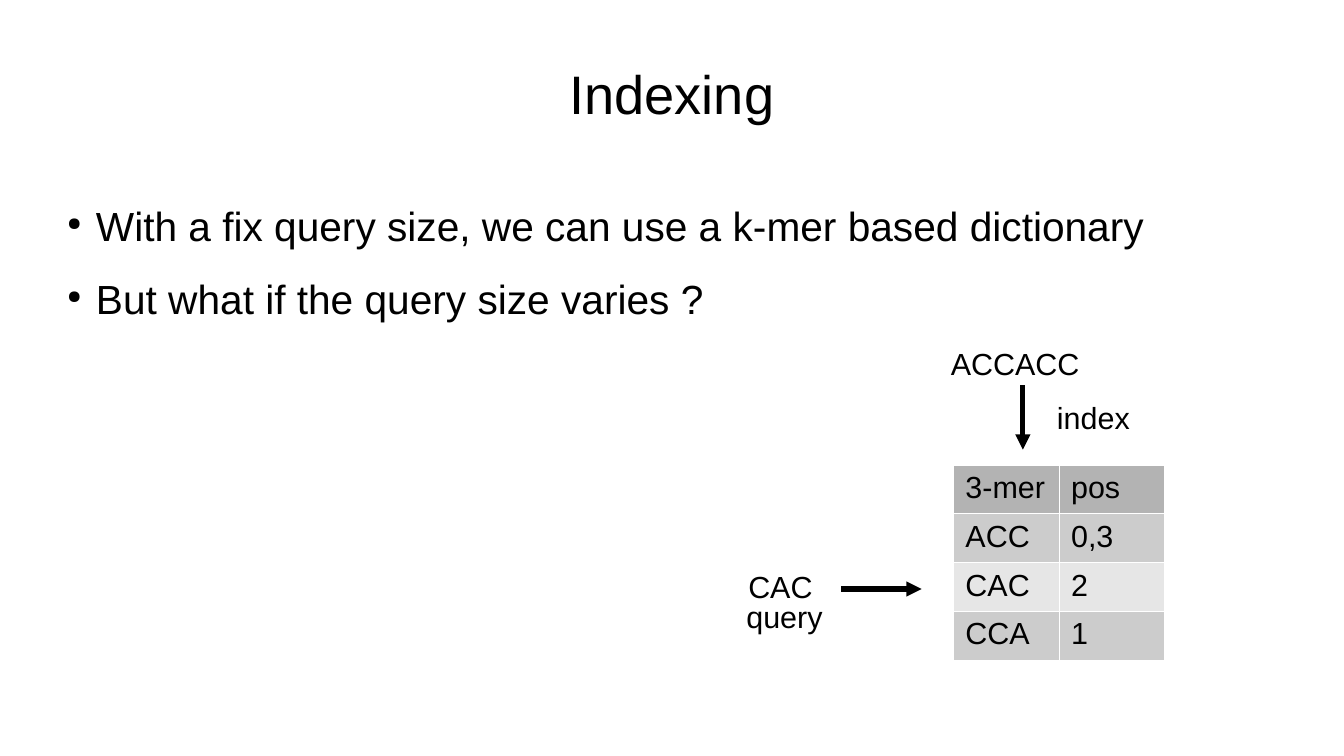
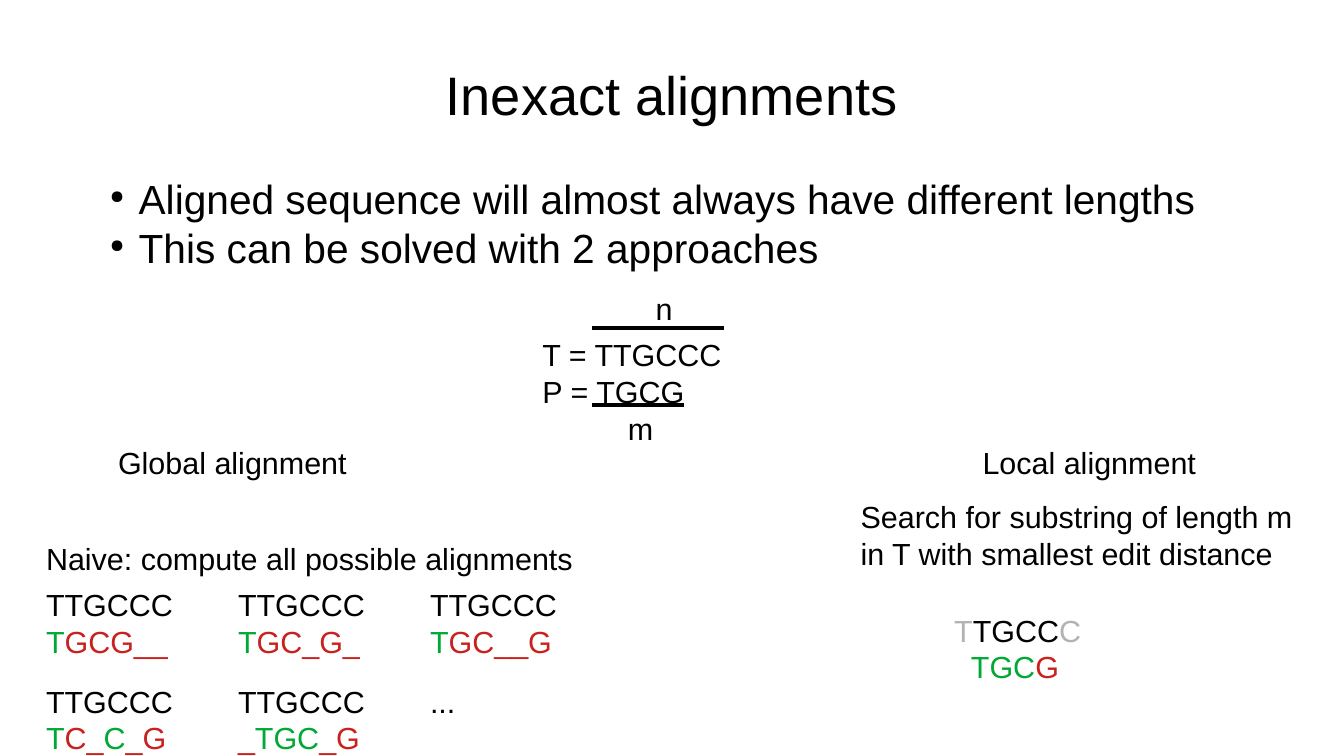
from dataclasses import dataclass
from itertools import groupby

from lxml.etree import SubElement
from pptx import Presentation
from pptx.dml.color import RGBColor
from pptx.enum.shapes import MSO_CONNECTOR as Connector
from pptx.enum.text import MSO_ANCHOR as Anchor, PP_ALIGN as Align
from pptx.oxml.ns import qn
from pptx.util import Cm, Pt


@dataclass(frozen=True)
class Theme:
    font: str = "Arial"
    ink: str = "000000"
    match: str = "00A933"
    mismatch: str = "C9211E"
    unused: str = "B2B2B2"
    border: str = "FFFFFF"
    header: str = "B3B3B3"
    odd_row: str = "CCCCCC"
    even_row: str = "E6E6E6"
    title_size: int = 32
    body_size: int = 24
    label_size: int = 18
    arrow_width: float = 3
    rule_width: float = 2.25


THEME = Theme()
MARK_COLORS = {"+": THEME.match, "-": THEME.mismatch, ".": THEME.unused, "=": THEME.ink}
LINE_HEIGHT = 0.97


def style_font(paragraph, size):
    paragraph.font.name = THEME.font
    paragraph.font.size = Pt(size)
    paragraph.font.color.rgb = RGBColor.from_string(THEME.ink)


def add_frame(slide, box, inset=True):
    frame = slide.shapes.add_textbox(*map(Cm, box)).text_frame
    frame.word_wrap = True
    if not inset:
        frame.margin_left = frame.margin_right = 0
        frame.margin_top = frame.margin_bottom = 0
    return frame


def add_paragraphs(frame, lines):
    for index, line in enumerate(lines):
        paragraph = frame.add_paragraph() if index else frame.paragraphs[0]
        paragraph.text = line
        yield paragraph


def add_title(slide, box, text):
    frame = add_frame(slide, box, inset=False)
    frame.vertical_anchor = Anchor.MIDDLE
    for paragraph in add_paragraphs(frame, [text]):
        paragraph.alignment = Align.CENTER
        style_font(paragraph, THEME.title_size)


def add_bullets(slide, box, lines, spacing=1.0):
    frame = add_frame(slide, box, inset=False)
    for paragraph in add_paragraphs(frame, lines):
        paragraph.line_spacing = spacing
        properties = paragraph._p.get_or_add_pPr()
        properties.set("marL", str(Cm(0.6)))
        properties.set("indent", str(-Cm(0.6)))
        color = SubElement(properties, qn("a:buClr"))
        SubElement(color, qn("a:srgbClr"), val=THEME.ink)
        SubElement(properties, qn("a:buSzPct"), val="45000")
        SubElement(properties, qn("a:buChar"), char="●")
        style_font(paragraph, THEME.body_size)


def add_label(slide, left, top, width, *lines):
    box = left, top, width, LINE_HEIGHT * len(lines)
    for paragraph in add_paragraphs(add_frame(slide, box), lines):
        style_font(paragraph, THEME.label_size)


def add_alignment(slide, left, top, width, rows, indent=0):
    frame = add_frame(slide, (left, top, width, 1.68))
    paragraphs = add_paragraphs(frame, [""] * len(rows))
    for index, (paragraph, (letters, marks)) in enumerate(zip(paragraphs, rows)):
        if index and indent:
            paragraph._p.get_or_add_pPr().set("marL", str(Cm(indent)))
        style_font(paragraph, THEME.label_size)
        for mark, pairs in groupby(zip(marks, letters), key=lambda pair: pair[0]):
            run = paragraph.add_run()
            run.text = "".join(letter for _, letter in pairs)
            run.font.color.rgb = RGBColor.from_string(MARK_COLORS[mark])


def add_line(slide, start, end, width, arrow=False):
    connector = slide.shapes.add_connector(Connector.STRAIGHT, *map(Cm, start + end))
    connector.line.width = Pt(width)
    connector.line.color.rgb = RGBColor.from_string(THEME.ink)
    if arrow:
        SubElement(connector.line._get_or_add_ln(), qn("a:tailEnd"), type="triangle")
    SubElement(connector._element.spPr, qn("a:effectLst"))


def add_borders(cell):
    properties = cell._tc.get_or_add_tcPr()
    for index, side in enumerate(("a:lnL", "a:lnR", "a:lnT", "a:lnB")):
        border = SubElement(properties, qn(side), w=str(Pt(0.06)))
        fill = SubElement(border, qn("a:solidFill"))
        SubElement(fill, qn("a:srgbClr"), val=THEME.border)
        properties.insert(index, border)


def add_kmer_table(slide, left, top, rows):
    column_width = 2.2
    size = column_width * len(rows[0]), LINE_HEIGHT * len(rows)
    table = slide.shapes.add_table(
        len(rows), len(rows[0]), *map(Cm, (left, top) + size)
    ).table
    table.first_row = table.horz_banding = False
    for row_index, values in enumerate(rows):
        band = THEME.odd_row if row_index % 2 else THEME.even_row
        color = band if row_index else THEME.header
        for column_index, value in enumerate(values):
            cell = table.cell(row_index, column_index)
            cell.fill.solid()
            cell.fill.fore_color.rgb = RGBColor.from_string(color)
            add_borders(cell)
            for paragraph in add_paragraphs(cell.text_frame, [value]):
                style_font(paragraph, THEME.label_size)


def add_index_diagram(slide, left, top):
    add_label(slide, left + 4.26, top, 5.16, "ACCACC")
    arrow_x = left + 6.01
    add_line(slide, (arrow_x, top + 0.97), (arrow_x, top + 2.31), THEME.arrow_width, True)
    add_label(slide, left + 6.47, top + 1.12, 2.3, "index")
    rows = [("3-mer", "pos"), ("ACC", "0,3"), ("CAC", "2"), ("CCA", "1")]
    add_kmer_table(slide, left + 4.56, top + 2.62, rows)
    add_label(slide, left + 0.04, top + 4.65, 2.3, "CAC")
    add_label(slide, left, top + 5.28, 2.3, "query")
    arrow_y = top + 5.21
    add_line(slide, (left + 2.23, arrow_y), (left + 3.9, arrow_y), THEME.arrow_width, True)


def add_sequence_pair(slide, left, top):
    add_label(slide, left, top + 0.96, 6.58, "T = TTGCCC", "P = TGCG")
    rule_left = left + 1.29
    lengths = [("n", 2.36, 0, 0.91, 2.75), ("m", 1.78, 2.49, 2.51, 1.91)]
    for name, label_x, label_y, rule_y, length in lengths:
        add_label(slide, left + label_x, top + label_y, 1.2, name)
        start, end = (rule_left, top + rule_y), (rule_left + length, top + rule_y)
        add_line(slide, start, end, THEME.rule_width)


def add_global_alignment(slide, left, top):
    add_label(slide, left + 1.5, top, 5.6, "Global alignment")
    add_label(slide, left, top + 2.01, 12, "Naive: compute all possible alignments")
    candidates = [
        ("TGCG__", "+-----"),
        ("TGC_G_", "+-----"),
        ("TGC__G", "+-----"),
        ("TC_C_G", "+--+--"),
        ("_TGC_G", "-+++--"),
    ]
    columns, grid_top = 3, top + 2.97
    pitch_x, pitch_y = 4, 2.01

    def cell_origin(index):
        row, column = divmod(index, columns)
        return left + column * pitch_x, grid_top + row * pitch_y

    for index, candidate in enumerate(candidates):
        rows = [("TTGCCC", "======"), candidate]
        add_alignment(slide, *cell_origin(index), 3.4, rows)
    add_label(slide, *cell_origin(len(candidates)), 3.4, "...")


def add_local_alignment(slide, left, top):
    add_label(slide, left + 2.54, top, 5.2, "Local alignment")
    description = "Search for substring of length m in T with smallest edit distance"
    add_label(slide, left, top + 1.14, 9.78, description)
    rows = [("TTGCCC", ".====."), ("TGCG", "+++-")]
    add_alignment(slide, left + 1.95, top + 3.5, 6.58, rows, indent=0.35)


def build_indexing(slide):
    add_title(slide, (1.4, 0.2, 25.2, 3.48), "Indexing")
    lines = [
        "With a fix query size, we can use a k-mer based dictionary",
        "But what if the query size varies ?",
    ]
    add_bullets(slide, (1.4, 3.68, 25.2, 11.33), lines, spacing=1.5)
    add_index_diagram(slide, 15.3, 7.06)


def build_inexact_alignments(slide):
    add_title(slide, (1.4, 0.63, 25.2, 2.65), "Inexact alignments")
    lines = [
        "Aligned sequence will almost always have different lengths",
        "This can be solved with 2 approaches",
    ]
    add_bullets(slide, (2.29, 3.63, 25.2, 9.14), lines)
    add_sequence_pair(slide, 11.05, 5.92)
    add_global_alignment(slide, 0.71, 9.12)
    add_local_alignment(slide, 17.68, 9.12)


def main():
    presentation = Presentation()
    presentation.slide_width, presentation.slide_height = Cm(28), Cm(15.75)
    blank_layout = presentation.slide_layouts[6]
    for build in (build_indexing, build_inexact_alignments):
        build(presentation.slides.add_slide(blank_layout))
    presentation.save("out.pptx")


if __name__ == "__main__":
    main()
